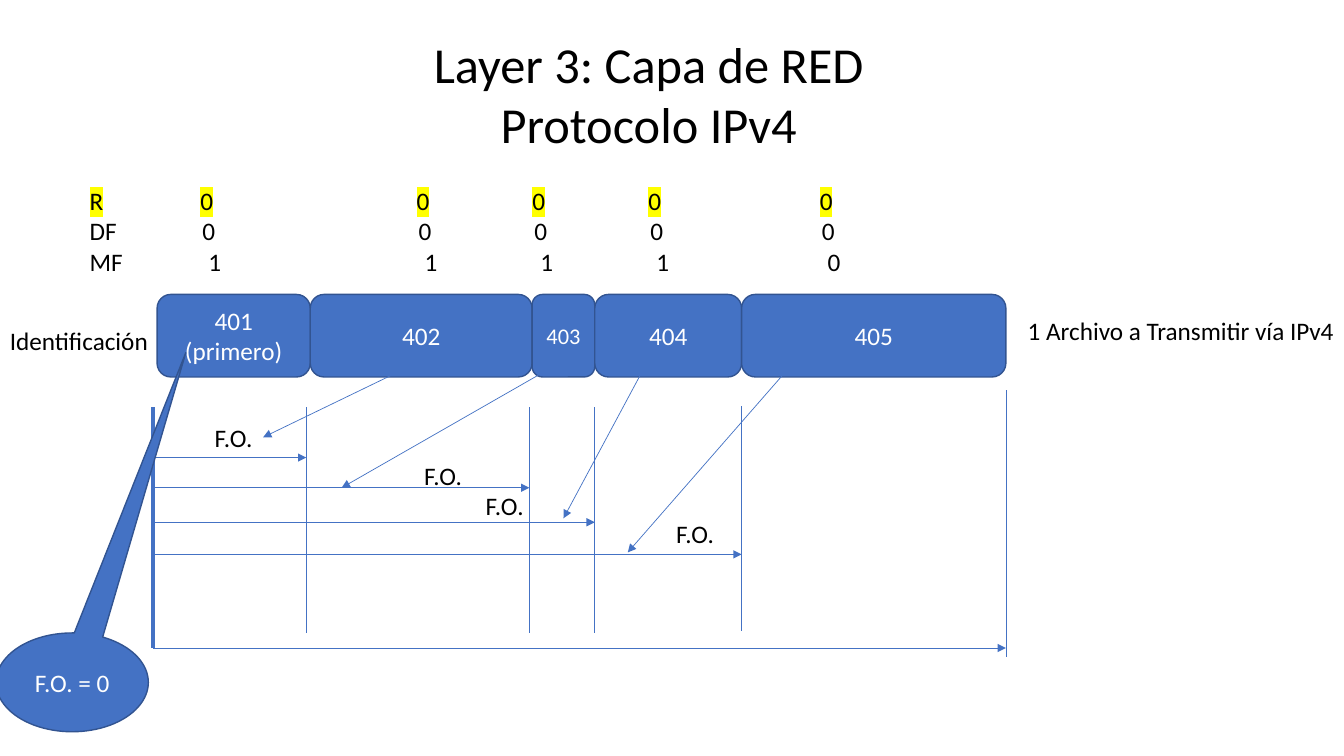
from lxml.etree import SubElement
from pptx import Presentation
from pptx.dml.color import RGBColor
from pptx.enum.shapes import MSO_CONNECTOR, MSO_SHAPE
from pptx.enum.text import MSO_ANCHOR, PP_ALIGN
from pptx.oxml.ns import qn
from pptx.util import Cm, Pt

COLORS = {"blue": "4472C4", "outline": "325491", "black": "000000",
          "white": "FFFFFF", "yellow": "FFFF00"}
FONT = "Calibri"

# All lengths are in centimetres.
TITLE = "Layer 3: Capa de RED\nProtocolo IPv4"
FRAGMENTS = [("401 (primero)", 18), ("402", 18), ("403", 16), ("404", 18), ("405", 18)]
FRAGMENT_EDGES = [3.96, 7.82, 13.41, 14.99, 18.69, 25.35]
FRAGMENT_TOP, FRAGMENT_HEIGHT = 7.42, 2.08

# Flag name, fragment values, shift of the row's tab stops
FLAGS = [("R", "00000", 0), ("DF", "00000", 0.05), ("MF", "11110", 0.2)]
FLAG_TABS = [2.79, 8.24, 11.16, 14.08, 18.4]

LABELS = [
    ("1 Archivo a Transmitir vía IPv4", 25.65, 7.82, 8.31),
    ("Identificación", 0, 8.08, 4.04),
    ("F.O.", 5.16, 10.52, 1.47),
    ("F.O.", 10.44, 11.48, 1.47),
    ("F.O.", 11.99, 12.24, 1.47),
    ("F.O.", 16.79, 12.93, 1.47),
]
LABEL_HEIGHT = 1.02

# x, top, bottom, line width in points
GUIDES = [
    (3.86, 10.26, 16.33, 3),
    (7.72, 10.26, 15.95, 0.5),
    (13.34, 10.26, 15.95, 0.5),
    (14.99, 10.26, 15.95, 0.5),
    (18.69, 10.24, 15.9, 0.5),
    (25.35, 9.83, 16.56, 0.5),
]
OFFSET_HEIGHTS = [11.53, 12.29, 13.16, 13.97, 16.33]
POINTERS = [
    (10.62, 9.09, 6.63, 11.02),
    (14.2, 9.09, 8.61, 12.29),
    (16.33, 9.09, 14.2, 13.06),
    (20.04, 9.09, 15.82, 13.92),
]
CALLOUT = ("F.O. = 0", -0.1, 15.95, 3.84, 2.49)
CALLOUT_TIP = (0.746, -3.337)


def color(name):
    return RGBColor.from_string(COLORS[name])


def style_text(frame, size, color_name, align):
    for paragraph in frame.paragraphs:
        paragraph.alignment = align
        for run in paragraph.runs:
            run.font.size = Pt(size)
            run.font.name = FONT
            run.font.color.rgb = color(color_name)


def add_text(slide, text, left, top, width, height, size=18, align=PP_ALIGN.LEFT, wrap=False):
    box = slide.shapes.add_textbox(Cm(left), Cm(top), Cm(width), Cm(height))
    frame = box.text_frame
    frame.word_wrap = wrap
    frame.text = text
    style_text(frame, size, "black", align)
    return frame


def add_block(slide, preset, text, left, top, width, height, size=18):
    shape = slide.shapes.add_shape(preset, Cm(left), Cm(top), Cm(width), Cm(height))
    shape.shadow.inherit = False
    shape.fill.solid()
    shape.fill.fore_color.rgb = color("blue")
    shape.line.color.rgb = color("outline")
    shape.line.width = Pt(1)
    shape.text_frame.word_wrap = True
    shape.text_frame.vertical_anchor = MSO_ANCHOR.MIDDLE
    shape.text_frame.text = text
    style_text(shape.text_frame, size, "white", PP_ALIGN.CENTER)
    return shape


def add_line(slide, x1, y1, x2, y2, width=0.5, arrow=False):
    line = slide.shapes.add_connector(MSO_CONNECTOR.STRAIGHT, Cm(x1), Cm(y1), Cm(x2), Cm(y2))
    line.line.color.rgb = color("blue")
    line.line.width = Pt(width)
    if arrow:
        SubElement(line.line._get_or_add_ln(), qn("a:tailEnd"), type="triangle")
    SubElement(line._element.spPr, qn("a:effectLst"))


def add_flags(slide):
    """Write the flag rows on tab stops and highlight the reserved one."""
    text = "\n".join("\t".join([name, *values]) for name, values, _ in FLAGS)
    frame = add_text(slide, text, 2.01, 4.55, 19.89, 2.57, wrap=True)
    for paragraph, (_, _, shift) in zip(frame.paragraphs, FLAGS):
        tabs = SubElement(paragraph._p.get_or_add_pPr(), qn("a:tabLst"))
        for stop in FLAG_TABS:
            SubElement(tabs, qn("a:tab"), pos=str(Cm(stop + shift)), algn="l")
    for run in frame.paragraphs[0].runs:
        fill = run._r.get_or_add_rPr().find(qn("a:solidFill"))
        highlight = SubElement(fill.getparent(), qn("a:highlight"))
        SubElement(highlight, qn("a:srgbClr"), val=COLORS["yellow"])
        fill.addnext(highlight)


def main():
    presentation = Presentation()
    presentation.slide_width, presentation.slide_height = Cm(33.87), Cm(19.05)
    slide = presentation.slides.add_slide(presentation.slide_layouts[6])

    add_text(slide, TITLE, 10.62, 0.71, 11.46, 3.33, size=36, align=PP_ALIGN.CENTER)
    for (text, size), left, right in zip(FRAGMENTS, FRAGMENT_EDGES, FRAGMENT_EDGES[1:]):
        add_block(slide, MSO_SHAPE.ROUNDED_RECTANGLE, text, left, FRAGMENT_TOP,
                  right - left, FRAGMENT_HEIGHT, size)
    add_flags(slide)

    for x, top, bottom, width in GUIDES:
        add_line(slide, x, top, x, bottom, width)
    start = GUIDES[0][0]
    for (end, *_), y in zip(GUIDES[1:], OFFSET_HEIGHTS):
        add_line(slide, start, y, end, y, arrow=True)
    for pointer in POINTERS:
        add_line(slide, *pointer, arrow=True)
    for text, left, top, width in LABELS:
        add_text(slide, text, left, top, width, LABEL_HEIGHT)

    callout = add_block(slide, MSO_SHAPE.OVAL_CALLOUT, *CALLOUT)
    for index, value in enumerate(CALLOUT_TIP):
        callout.adjustments[index] = value

    presentation.save("out.pptx")


if __name__ == "__main__":
    main()
